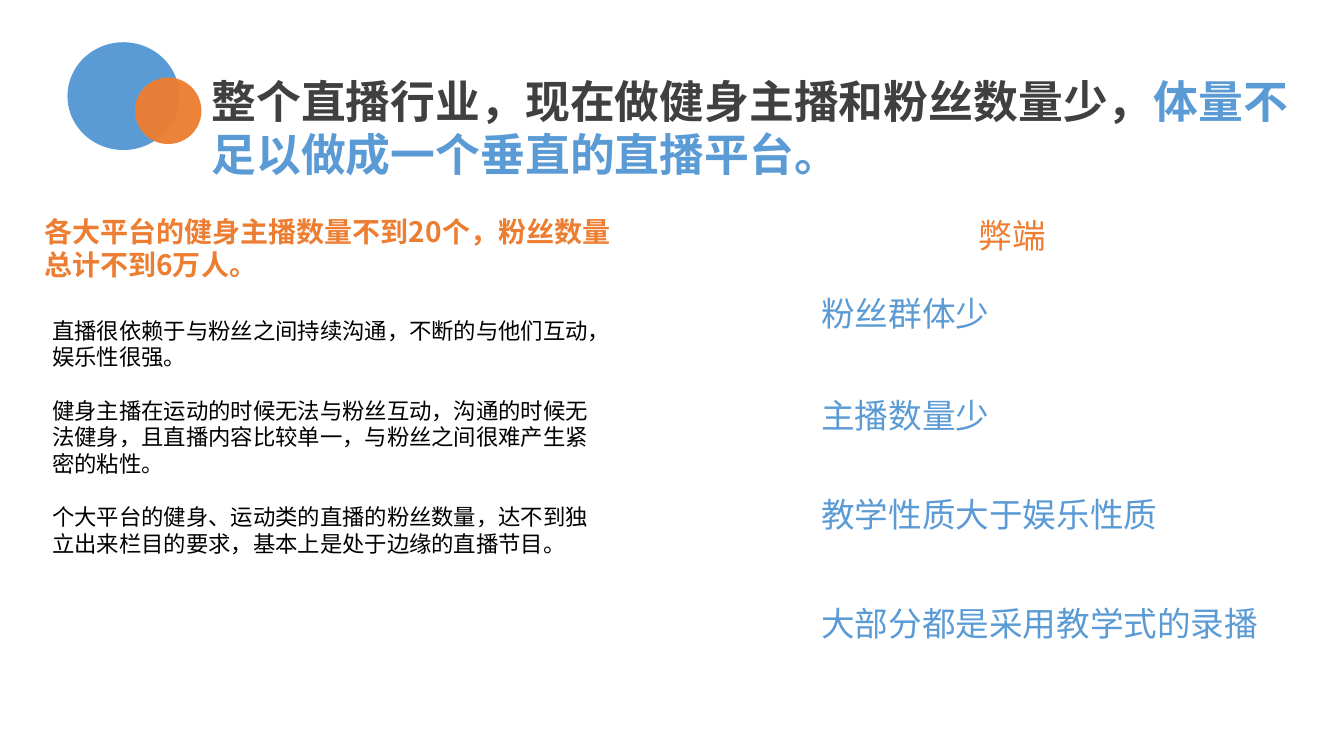
from lxml import etree
from pptx import Presentation
from pptx.dml.color import RGBColor
from pptx.enum import shapes, text
from pptx.oxml.ns import qn
from pptx.util import Pt

BLUE = RGBColor(0x5B, 0x9B, 0xD5)
ORANGE = RGBColor(0xED, 0x7D, 0x31)
GREY = RGBColor(0x40, 0x40, 0x40)
BLACK = RGBColor(0, 0, 0)
FONT = "Noto Sans CJK SC"
PITCH = 1.19


def add_text(s, box, paragraphs, size=24, color=BLUE, bold=False, wrap=True, gap=0):
    """Add a text box whose paragraphs are lists of (text, colour) runs or plain strings."""
    sp = s.shapes.add_textbox(*map(Pt, box))
    tf = sp.text_frame
    tf.word_wrap = wrap
    tf.auto_size = text.MSO_AUTO_SIZE.NONE
    tf.margin_top = Pt(3.6 + 0.11 * size)
    for i, runs in enumerate(paragraphs):
        p = tf.add_paragraph() if i else tf.paragraphs[0]
        p.line_spacing = Pt(PITCH * size)
        p.space_before = Pt(gap if i else 0)
        for words, tint in [(runs, color)] if isinstance(runs, str) else runs:
            r = p.add_run()
            r.text = words
            r.font.size, r.font.bold, r.font.name = Pt(size), bold, FONT
            r.font.color.rgb = tint
            etree.SubElement(r.font._element, qn("a:ea"), typeface=FONT)


def add_circle(s, box, color, alpha=100):
    """Add a plain ellipse with an opacity in percent."""
    sp = s.shapes.add_shape(shapes.MSO_SHAPE.OVAL, *map(Pt, box))
    sp.shadow.inherit = False
    sp.fill.solid()
    sp.fill.fore_color.rgb = color
    sp.line.fill.background()
    if alpha < 100:
        clr = sp.fill._xPr.find(".//" + qn("a:srgbClr"))
        etree.SubElement(clr, qn("a:alpha"), val=str(alpha * 1000))


def add_header(s, x, y, w, h):
    """Place the two circles and the title."""
    add_text(s, (x + 95.8, y + 15.8, w - 95.8, h - 15.8), [[
        ("整个直播行业，现在做健身主播和粉丝数量少，", GREY),
        ("体量不足以做成一个垂直的直播平台。", BLUE)]], size=32, bold=True)
    add_circle(s, (x, y, 79.9, 77), BLUE)
    add_circle(s, (x + 48.2, y + 25.2, 47.5, 47.5), ORANGE, alpha=96)


def add_situation(s, x, y, w, h):
    """Place the left column: a bold lead and its explanation."""
    add_text(s, (x, y, w, 55.4), ["各大平台的健身主播数量不到20个，粉丝数量总计不到6万人。"],
             size=20, color=ORANGE, bold=True)
    add_text(s, (x + 5.8, y + 73.4, w - 23, h - 73.4), [
        "直播很依赖于与粉丝之间持续沟通，不断的与他们互动，娱乐性很强。",
        "健身主播在运动的时候无法与粉丝互动，沟通的时候无法健身，且直播内容比较单一，与粉丝之间很难产生紧密的粘性。",
        "个大平台的健身、运动类的直播的粉丝数量，达不到独立出来栏目的要求，基本上是处于边缘的直播节目。",
    ], size=16, color=BLACK, gap=PITCH * 16)


def add_drawbacks(s, x, y, w, h):
    """Place the right column: a heading and the list of drawbacks."""
    add_text(s, (x + 112.3, y, 62.6, h), ["弊端"], color=ORANGE, wrap=False)
    drawbacks = [("粉丝群体少", 55.4), ("主播数量少", 128.2),
                 ("教学性质大于娱乐性质", 199.4), ("大部分都是采用教学式的录播", 277.2)]
    for words, dy in drawbacks:
        add_text(s, (x, y + dy, min(w, 24 * len(words) + 14.4), h), [words], wrap=False)


def main():
    """Build the slide and save it."""
    prs = Presentation()
    prs.slide_width, prs.slide_height = Pt(960), Pt(540)
    s = prs.slides.add_slide(prs.slide_layouts[6])
    add_header(s, 48.2, 30.2, 898.6, 100.8)
    add_situation(s, 24.5, 147.6, 428.4, 293.8)
    add_drawbacks(s, 579.6, 147.6, 326.4, 36)
    prs.save("out.pptx")


if __name__ == "__main__":
    main()
